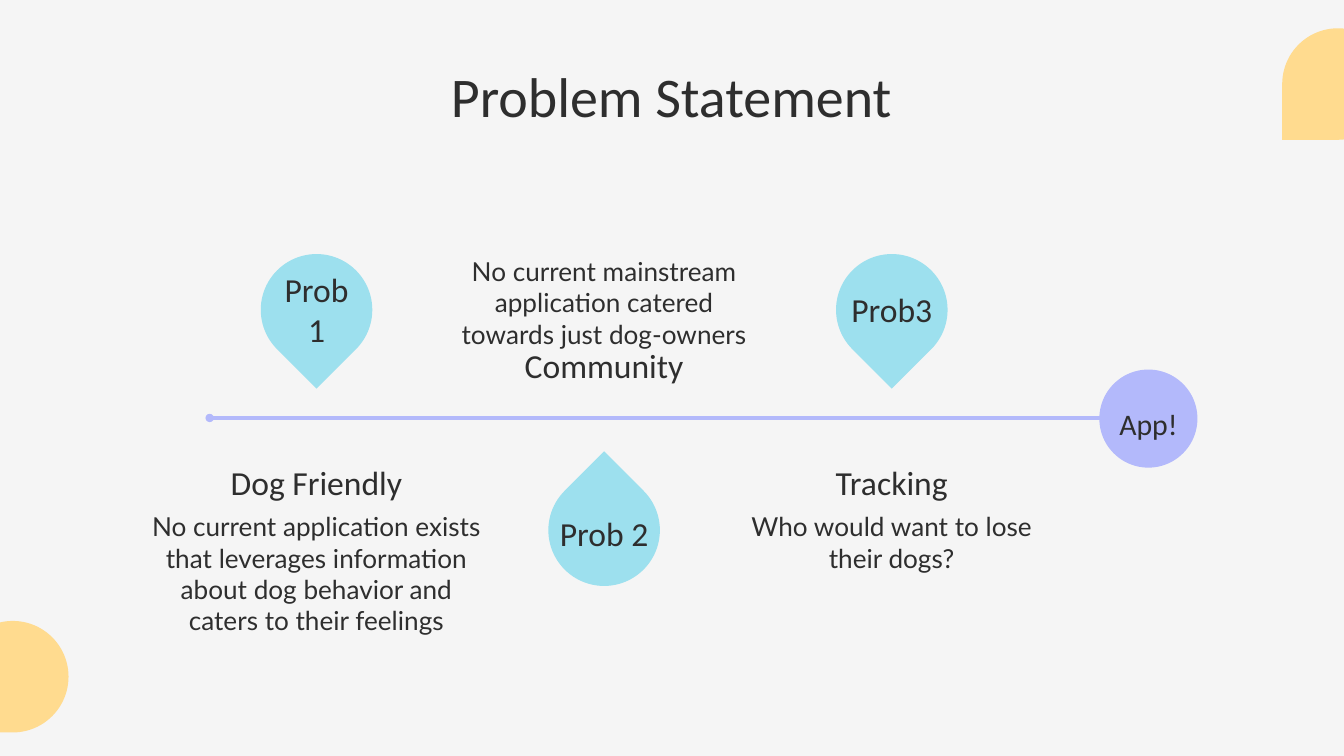
import pptx
import pptx.util
import pptx.oxml
import pptx.oxml.ns
import pptx.dml.color
import pptx.enum.shapes
import pptx.enum.text

Inches = pptx.util.Inches
SHAPE = pptx.enum.shapes.MSO_SHAPE
ANCHOR = pptx.enum.text.MSO_ANCHOR

COLORS = {
    "background": "F5F5F5",
    "ink": "2E2E2E",
    "corner": "FFDB8F",
    "marker": "9DE0EE",
    "timeline": "B3B9FB",
}
SLIDE_WIDTH = 10
DROP = 0.83
COLUMN_WIDTH = 2.67
COLUMN_STEP = 2.14

PROBLEMS = [
    ("Prob 1", 0.82, "Dog Friendly",
     "No current application exists that leverages information "
     "about dog behavior and caters to their feelings", 2.67),
    ("Prob 2", 0.89, "Community",
     "No current mainstream application catered towards just dog-owners", 2.51),
    ("Prob3", 0.89, "Tracking", "Who would want to lose their dogs?", 2.64),
]
MARKER_ABOVE = {
    "drop": 0.57, "rotation": 135, "label": 0.83, "heading": 1.97,
    "detail": 2.38, "detail_height": 1.03, "anchor": ANCHOR.TOP,
}
MARKER_BELOW = {
    "drop": 2.21, "rotation": 315, "label": 2.5, "heading": 1.1,
    "detail": 0, "detail_height": 1.38, "anchor": ANCHOR.BOTTOM,
}


def rgb(name):
    return pptx.dml.color.RGBColor.from_string(COLORS[name])


def add_text(slide, text, left, top, width, height, size,
             font="Calibri", anchor=ANCHOR.TOP, spacing=None):
    box = slide.shapes.add_textbox(
        Inches(left), Inches(top), Inches(width), Inches(height))
    frame = box.text_frame
    frame.word_wrap = True
    frame.vertical_anchor = anchor
    frame.margin_left = frame.margin_right = Inches(0.1)
    frame.margin_top = frame.margin_bottom = Inches(0.1)
    paragraph = frame.paragraphs[0]
    paragraph.alignment = pptx.enum.text.PP_ALIGN.CENTER
    if spacing:
        paragraph.line_spacing = spacing
    run = paragraph.add_run()
    run.text = text
    run.font.size = pptx.util.Pt(size)
    run.font.name = font
    run.font.color.rgb = rgb("ink")


def add_filled(slide, kind, left, top, size, color, rotation=0):
    shape = slide.shapes.add_shape(
        kind, Inches(left), Inches(top), Inches(size), Inches(size))
    shape.rotation = rotation
    shape.shadow.inherit = False
    shape.fill.solid()
    shape.fill.fore_color.rgb = rgb(color)
    shape.line.fill.background()


def add_corners(slide):
    for left, top in ((-0.32, 4.62), (9.54, 0.21)):
        add_filled(slide, SHAPE.TEAR, left, top, DROP, "corner", 180)


def add_problem(slide, left, top, width, problem, layout):
    label, label_width, heading, detail, detail_width = problem
    center = left + width / 2
    add_text(slide, detail, center - detail_width / 2, top + layout["detail"],
             detail_width, layout["detail_height"], 14, "Lato", layout["anchor"])
    add_text(slide, heading, left, top + layout["heading"], width, 0.3, 18,
             spacing=1.15)
    add_filled(slide, SHAPE.TEAR, center - DROP / 2, top + layout["drop"],
               DROP, "marker", layout["rotation"])
    add_text(slide, label, center - label_width / 2, top + layout["label"],
             label_width, 0.3, 18, anchor=ANCHOR.MIDDLE)


def add_axis(slide, left, top, width):
    axis = slide.shapes.add_connector(
        pptx.enum.shapes.MSO_CONNECTOR.STRAIGHT,
        Inches(left + width), Inches(top), Inches(left), Inches(top))
    axis.line.color.rgb = rgb("timeline")
    axis.line.width = pptx.util.Pt(2.25)
    line = axis.line._get_or_add_ln()
    namespace = pptx.oxml.ns.nsdecls("a")
    for end in ("a:headEnd", "a:tailEnd"):
        line.append(pptx.oxml.parse_xml(
            f'<{end} {namespace} type="oval" w="sm" len="sm"/>'))
    axis._element.spPr.append(
        pptx.oxml.parse_xml(f'<a:effectLst {namespace}/>'))


def add_goal(slide, left, top, size):
    add_filled(slide, SHAPE.OVAL, left, top, size, "timeline")
    add_text(slide, "App!", left - 0.08, top + 0.2, size + 0.16, 0.37, 16,
             anchor=ANCHOR.MIDDLE, spacing=1.15)


def add_timeline(slide, left, top):
    add_axis(slide, left + 0.54, top + 1.79, 6.9)
    for index, problem in enumerate(PROBLEMS):
        layout = MARKER_BELOW if index % 2 else MARKER_ABOVE
        add_problem(slide, left + index * COLUMN_STEP, top, COLUMN_WIDTH,
                    problem, layout)
    add_goal(slide, left + 7.16, top + 1.43, 0.73)


def main():
    deck = pptx.Presentation()
    deck.slide_width = Inches(SLIDE_WIDTH)
    deck.slide_height = Inches(SLIDE_WIDTH * 9 / 16)
    slide = deck.slides.add_slide(deck.slide_layouts[6])
    slide.background.fill.solid()
    slide.background.fill.fore_color.rgb = rgb("background")
    add_corners(slide)
    add_text(slide, "Problem Statement", 1.49, 0.36, 7.01, 0.69, 30)
    add_timeline(slide, 1.02, 1.32)
    deck.save("out.pptx")


if __name__ == "__main__":
    main()
